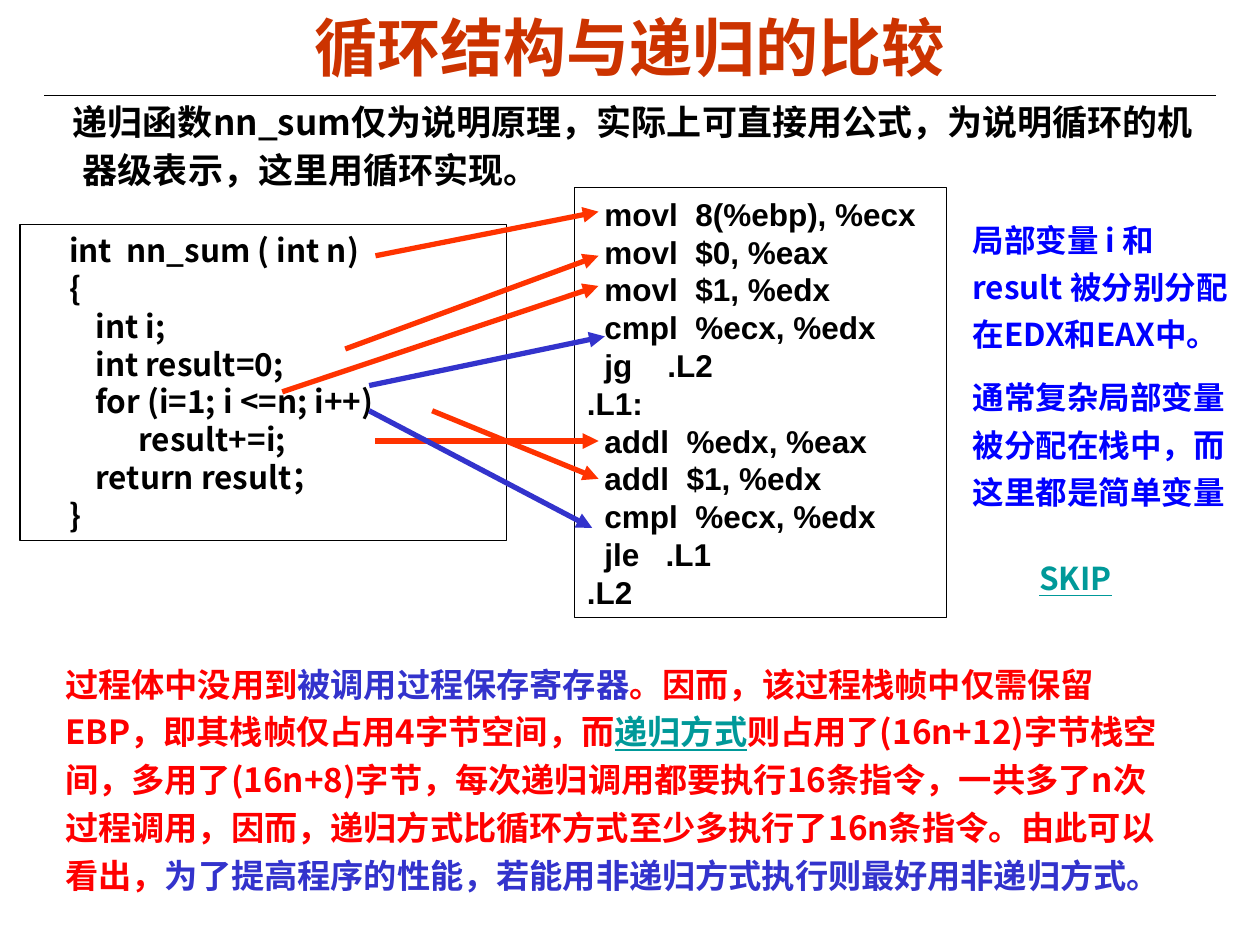
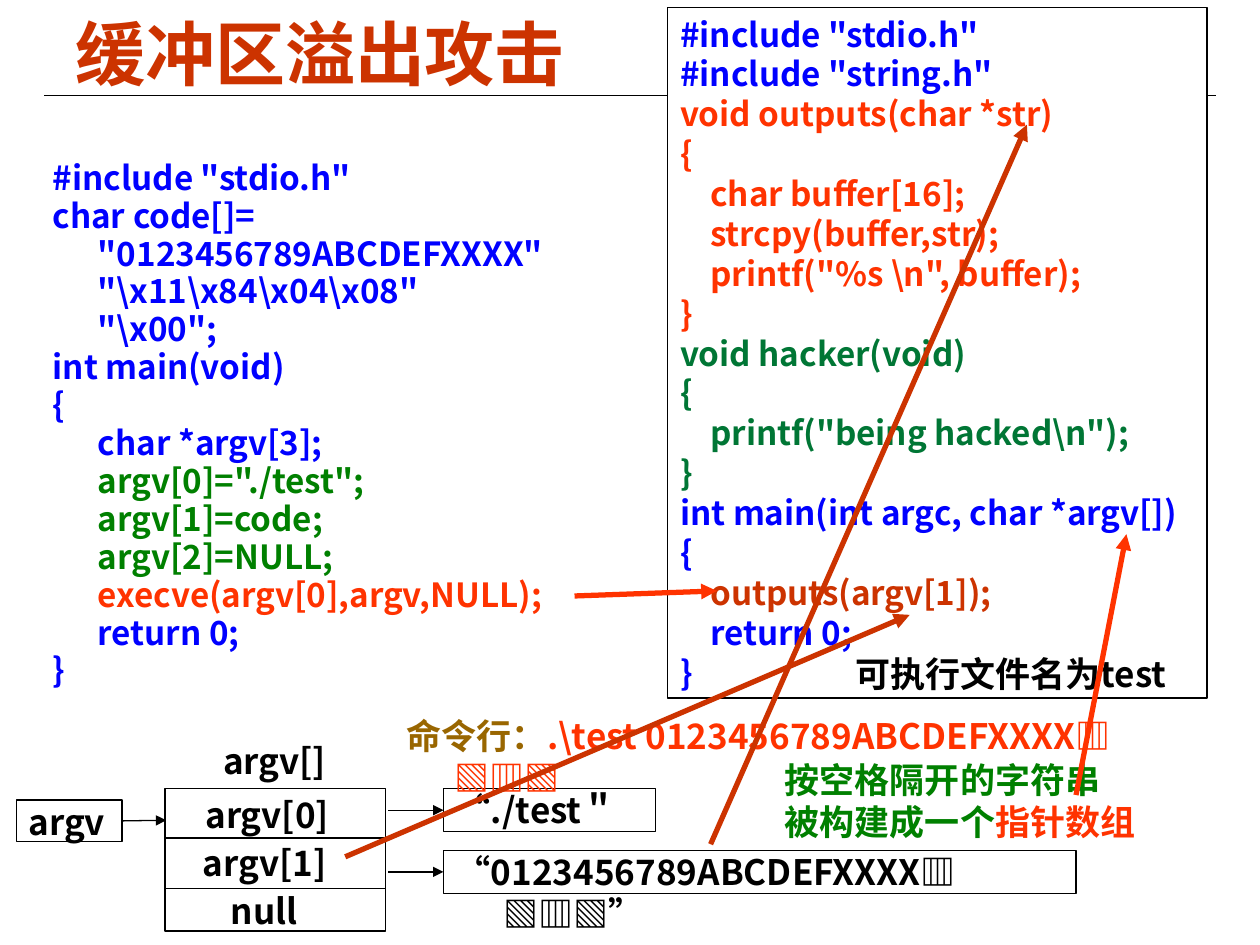
from pptx import Presentation
from pptx.dml.color import RGBColor
from pptx.enum.shapes import MSO_CONNECTOR, MSO_SHAPE
from pptx.enum.text import MSO_ANCHOR, PP_ALIGN
from pptx.oxml.ns import qn
from pptx.util import Inches, Pt
from lxml.etree import SubElement

COLORS = {
    "black": "000000", "white": "FFFFFF", "title": "CC3300", "orange": "FF3300",
    "red": "FF0000", "indigo": "3333CC", "blue": "0000FF", "teal": "009999",
    "green": "008000", "dark_green": "007635", "brown": "996600",
}
CJK_FONT = "Noto Sans CJK SC"


def add_text(slide, box, paragraphs, size, font=CJK_FONT, fill=None, border=False,
             anchor=MSO_ANCHOR.TOP, align=PP_ALIGN.LEFT, insets=(0.1, 0.05, 0.1, 0.05),
             margin=0, indent=0, line_spacing=1.0, gap=0):
    """Add a rectangle of paragraphs; each is a list of (text, colour[, underline])."""
    shape = slide.shapes.add_shape(MSO_SHAPE.RECTANGLE, *map(Inches, box))
    shape.shadow.inherit = False
    if fill:
        shape.fill.solid()
        shape.fill.fore_color.rgb = RGBColor.from_string(COLORS[fill])
    else:
        shape.fill.background()
    if border:
        shape.line.color.rgb = RGBColor.from_string(COLORS["black"])
        shape.line.width = Pt(0.75)
    else:
        shape.line.fill.background()
    frame = shape.text_frame
    frame.word_wrap = True
    frame.vertical_anchor = anchor
    frame.margin_left, frame.margin_top, frame.margin_right, frame.margin_bottom = map(Inches, insets)
    for number, runs in enumerate(paragraphs):
        paragraph = frame.add_paragraph() if number else frame.paragraphs[0]
        paragraph.alignment = align
        paragraph.line_spacing = line_spacing
        if number and gap:
            paragraph.space_before = Pt(gap)
        properties = paragraph._p.get_or_add_pPr()
        properties.set("marL", str(Inches(margin)))
        properties.set("indent", str(Inches(indent)))
        for text, color, *underline in runs:
            for part_number, part in enumerate(text.split("\v")):
                if part_number:
                    paragraph.add_line_break()
                run = paragraph.add_run()
                run.text = part
                run.font.size = Pt(size)
                run.font.bold = True
                run.font.underline = bool(underline)
                run.font.color.rgb = RGBColor.from_string(COLORS[color])
                run.font.name = font
                SubElement(run._r.rPr, qn("a:ea")).set("typeface", CJK_FONT)
    return shape


def add_line(slide, start, end, color="black", width=0.75, arrow=True):
    line = slide.shapes.add_connector(MSO_CONNECTOR.STRAIGHT, *map(Inches, start + end))
    line.line.color.rgb = RGBColor.from_string(COLORS[color])
    line.line.width = Pt(width)
    if arrow:
        SubElement(line.line._get_or_add_ln(), qn("a:tailEnd")).set("type", "triangle")
    SubElement(line._element.spPr, qn("a:effectLst"))
    return line


prs = Presentation()
prs.slide_width, prs.slide_height = Inches(10), Inches(7.5)

# Shared title and rule
slides = []
for title, top, size, align in [
    ("循环结构与递归的比较", 0.06, 36, PP_ALIGN.CENTER),
    ("缓冲区溢出攻击", 0.11, 40, PP_ALIGN.LEFT),
]:
    slide = prs.slides.add_slide(prs.slide_layouts[6])
    add_line(slide, (0.35, 0.76), (9.65, 0.76), arrow=False)
    add_text(slide, (0.5, top, 9, 0.61), [[(title, "title")]], size, font="Arial",
             anchor=MSO_ANCHOR.MIDDLE, align=align)
    slides.append(slide)
comparison, attack = slides

# Slide 1: loop against recursion
add_text(comparison, (0.18, 0.7, 9.4, 1.1),
         [[("递归函数nn_sum仅为说明原理，实际上可直接用公式，为说明循环的机器级表示，这里用循环实现。", "black")]],
         20, margin=0.38, indent=-0.08, line_spacing=1.15)

c_code = ["int  nn_sum ( int n)", "{", "\tint i;", "\tint result=0;",
          "\tfor (i=1; i <=n; i++)", "\t      result+=i;", "\treturn result；", "}"]
add_text(comparison, (0.16, 1.78, 3.86, 2.51), [[(code, "black")] for code in c_code],
         18, border=True, anchor=MSO_ANCHOR.MIDDLE, indent=0.29)

assembly = ["  movl  8(%ebp), %ecx", "  movl  $0, %eax", "  movl  $1, %edx",
            "  cmpl  %ecx, %edx", "  jg    .L2", ".L1:", "  addl  %edx, %eax",
            "  addl  $1, %edx", "  cmpl  %ecx, %edx", "  jle   .L1", ".L2"]
add_text(comparison, (4.56, 1.49, 2.95, 3.41), [[(code, "black")] for code in assembly],
         18, font="Arial", border=True, anchor=MSO_ANCHOR.MIDDLE)

conclusion = [
    ("过程体中没用到", "red"),
    ("被调用过程保存寄存器", "indigo"),
    ("。因而，该过程栈帧中仅需保留EBP，即其栈帧仅占用4字节空间，而", "red"),
    ("递归方式", "teal", True),
    ("则占用了(16n+12)字节栈空间，多用了(16n+8)字节，每次递归调用都要执行16条指令，"
     "一共多了n次过程调用，因而，递归方式比循环方式至少多执行了16n条指令。由此可以看出，", "red"),
    ("为了提高程序的性能，若能用非递归方式执行则最好用非递归方式。", "indigo"),
]
add_text(comparison, (0.42, 5.16, 9.01, 1.99), [conclusion], 19,
         anchor=MSO_ANCHOR.MIDDLE, line_spacing=1.2)

add_text(comparison, (7.62, 1.63, 2.38, 2.5),
         [[("局部变量 i 和 result 被分别分配在EDX和EAX中。", "blue")],
          [("通常复杂局部变量被分配在栈中，而这里都是简单变量", "blue")]],
         18, line_spacing=1.25, gap=9)

for start, end, color in [
    ((2.98, 2.03), (4.75, 1.68), "orange"),
    ((2.74, 2.77), (4.75, 2.03), "orange"),
    ((2.24, 3.11), (4.75, 2.27), "orange"),
    ((2.93, 3.06), (4.8, 2.67), "indigo"),
    ((2.98, 3.5), (4.75, 3.5), "orange"),
    ((3.43, 3.26), (4.75, 3.8), "orange"),
    ((2.93, 3.26), (4.7, 4.19), "indigo"),
]:
    add_line(comparison, start, end, color, 3)

add_text(comparison, (8.15, 4.39, 0.94, 0.4), [[("SKIP", "teal", True)]], 18)

# Slide 2: attacking program and attacked program
attacker_code = [
    ("blue", ['#include "stdio.h"', "char code[]=", '      "0123456789ABCDEFXXXX"',
              r'      "\x11\x84\x04\x08"', r'      "\x00";', "int main(void)", "{",
              "      char *argv[3];"]),
    ("green", ['      argv[0]="./test";', "      argv[1]=code;", "      argv[2]=NULL;"]),
    ("orange", ["      execve(argv[0],argv,NULL);"]),
    ("blue", ["      return 0;", "}"]),
]
victim_code = [
    ("blue", ['#include "stdio.h"', '#include "string.h"']),
    ("orange", ["void outputs(char *str)", "{", "    char buffer[16];",
                "    strcpy(buffer,str);", r'    printf("%s \n", buffer);', "}"]),
    ("dark_green", ["void hacker(void)", "{", r'    printf("being hacked\n");', "}"]),
    ("blue", ["int main(int argc, char *argv[])", "{"]),
    ("title", ["    outputs(argv[1]);"]),
    ("blue", ["    return 0;", "}"]),
]
for box, listing, fill, border, spacing in [
    ((0.32, 1.22, 4.38, 4.31), attacker_code, None, False, 0.95),
    ((5.3, 0.06, 4.28, 5.48), victim_code, "white", True, 1.0),
]:
    add_text(attack, box, [[(code, color)] for color, block in listing for code in block],
             19, fill=fill, border=border, anchor=MSO_ANCHOR.MIDDLE, line_spacing=spacing)

# Pointer array and the strings it points to
boxed = {"border": True, "insets": (0.1, 0, 0.1, 0)}
argv_pointer = add_text(attack, (0.13, 6.35, 0.84, 0.33), [[("argv", "black")]], 20,
                        fill="white", **boxed)
add_line(attack, (0.97, 6.51), (1.32, 6.51)).begin_connect(argv_pointer, 3)

add_text(attack, (1.31, 6.26, 1.75, 1.13), [], 20, fill="white", border=True)
for label, left, top, width, height in [
    ("argv[]", 1.77, 5.87, 0.98, 0.33),
    ("argv[0]", 1.63, 6.3, 1.06, 0.32),
    ("argv[1]", 1.61, 6.68, 1.06, 0.32),
    ("null", 1.83, 7.06, 0.59, 0.25),
]:
    add_text(attack, (left, top, width, height), [[(label, "black")]], 20,
             fill="white", insets=(0, 0, 0, 0))
for divider in (6.65, 7.05):
    add_line(attack, (1.31, divider), (3.06, divider), arrow=False)

for argument, top, width, fill in [
    ("“./test＂", 6.26, 1.68, "white"),
    ("“0123456789ABCDEFXXXX▥\v▧▥▧”", 6.75, 5.02, None),
]:
    target = add_text(attack, (3.52, top, width, 0.34), [[(argument, "black")]], 20,
                      fill=fill, margin=0.38, indent=-0.38, **boxed)
    add_line(attack, (3.08, top + 0.17), (3.52, top + 0.17)).end_connect(target, 1)

# Remarks
add_text(attack, (6.69, 5.13, 2.84, 0.43), [[("可执行文件名为test", "black")]], 20)
add_text(attack, (3.13, 5.62, 6.74, 0.43),
         [[("命令行：", "brown"), (".\\test 0123456789ABCDEFXXXX▥\v▧▥▧", "orange")]],
         20, margin=0.38, indent=-0.38)
add_text(attack, (6.13, 5.97, 3.35, 0.77),
         [[("按空格隔开的字符串", "green")],
          [("被构建成一个", "green"), ("指针数组", "orange")]], 20)

for start, end, color in [
    ((8.54, 6.31), (8.94, 4.24), "orange"),
    ((4.56, 4.73), (5.69, 4.69), "orange"),
    ((2.74, 6.8), (7.22, 4.88), "title"),
    ((5.64, 6.7), (8.15, 0.99), "title"),
]:
    add_line(attack, start, end, color, 3)

prs.save("out.pptx")
